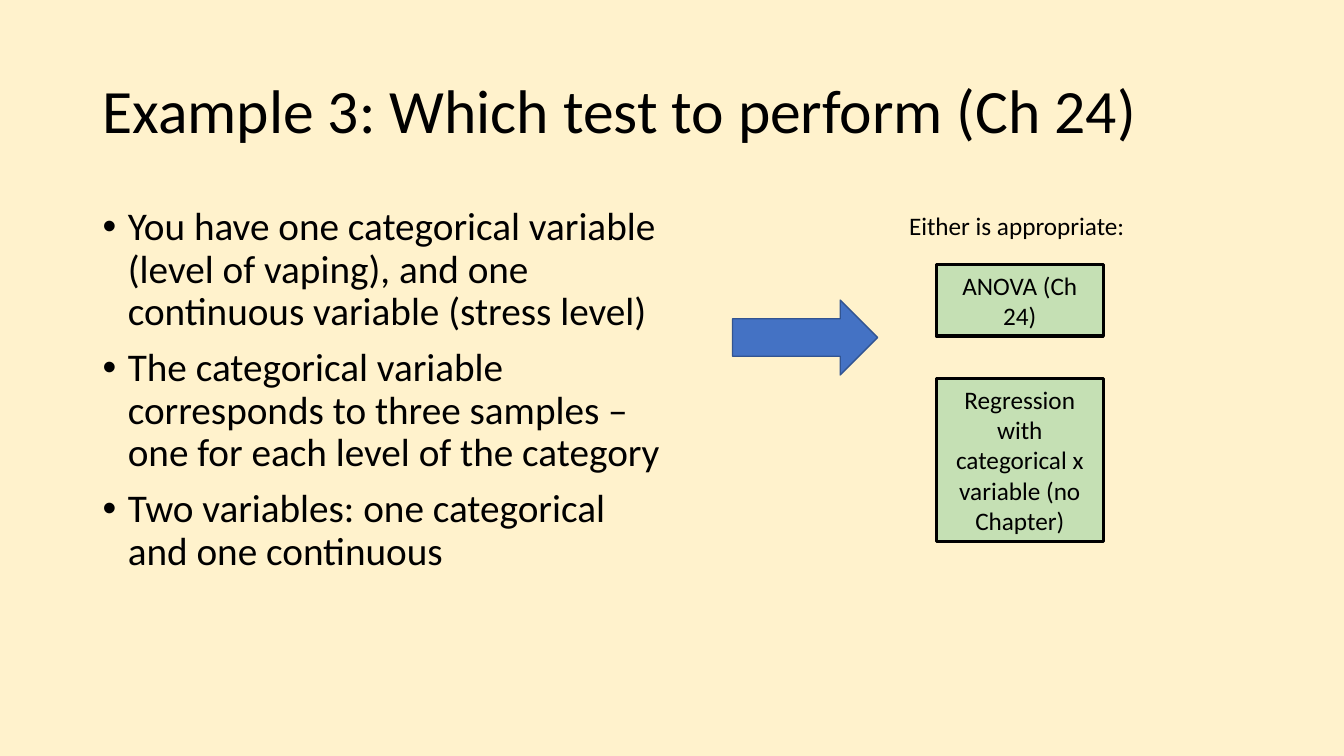
from dataclasses import dataclass

from lxml import etree
from pptx import Presentation
from pptx.dml.color import RGBColor
from pptx.enum.shapes import MSO_SHAPE
from pptx.enum.text import MSO_ANCHOR, PP_ALIGN
from pptx.oxml.ns import qn
from pptx.util import Inches, Pt

RECT, ARROW = MSO_SHAPE.RECTANGLE, MSO_SHAPE.RIGHT_ARROW
TOP, MIDDLE = MSO_ANCHOR.TOP, MSO_ANCHOR.MIDDLE
LEFT, CENTER = PP_ALIGN.LEFT, PP_ALIGN.CENTER


@dataclass(frozen=True)
class Theme:
    """Colours, font and type sizes of the slide."""
    font: str = "Calibri"
    background: str = "FFF2CC"
    ink: str = "000000"
    answer: str = "C5E0B4"
    arrow: str = "4472C4"
    arrow_edge: str = "325491"
    title: int = 44
    body: int = 28
    label: int = 18


THEME = Theme()
TIGHT = {"line_spacing": 0.9}
BULLETED = {"line_spacing": 0.9, "space_before": Pt(10)}


def within(box, x, y, w, h):
    """Return the part of a box given by its shares."""
    left, top, width, height = box
    return left + x * width, top + y * height, w * width, h * height


def write(sp, lines, size, anchor=TOP, align=LEFT, spacing=None):
    """Fill a shape with formatted paragraphs."""
    tf = sp.text_frame
    tf.word_wrap, tf.vertical_anchor = True, anchor
    for i, line in enumerate(lines):
        p = tf.add_paragraph() if i else tf.paragraphs[0]
        for name, value in {"alignment": align, **(spacing or {})}.items():
            setattr(p, name, value)
        r = p.add_run()
        r.text = line
        for name, value in {"name": THEME.font, "size": Pt(size)}.items():
            setattr(r.font, name, value)
        r.font.color.rgb = RGBColor.from_string(THEME.ink)


def add_text(slide, box, lines, size, **style):
    """Add a text box."""
    sp = slide.shapes.add_textbox(*map(Inches, box))
    write(sp, lines, size, **style)
    return sp


def add_block(slide, box, kind, fill, edge, weight):
    """Add a filled and outlined preset shape."""
    sp = slide.shapes.add_shape(kind, *map(Inches, box))
    sp.shadow.inherit = False
    sp.fill.solid()
    sp.fill.fore_color.rgb = RGBColor.from_string(fill)
    sp.line.color.rgb = RGBColor.from_string(edge)
    sp.line.width = Pt(weight)
    return sp


def add_bullets(slide, box, lines):
    """Add a bulleted list with hanging indents."""
    sp = add_text(slide, box, lines, THEME.body, spacing=BULLETED)
    for p in sp.text_frame.paragraphs:
        pPr = p._p.get_or_add_pPr()
        pPr.set("marL", str(Inches(0.25)))
        pPr.set("indent", str(Inches(-0.25)))
        etree.SubElement(pPr, qn("a:buFont")).set("typeface", "Arial")
        etree.SubElement(pPr, qn("a:buChar")).set("char", "•")


def add_answers(slide, box, heading, answers):
    """Add a heading above a column of answer boxes."""
    add_text(slide, within(box, 0, 0, 1, 0.12), [heading], THEME.label)
    for text, y, h in answers:
        sp = add_block(slide, within(box, 0.13, y, 0.587, h), RECT,
                       THEME.answer, THEME.ink, 2.25)
        write(sp, [text], THEME.label, anchor=MIDDLE, align=CENTER)


def build_example(prs):
    """Add the slide that leads from a situation to suitable tests."""
    slide = prs.slides.add_slide(prs.slide_layouts[6])
    slide.background.fill.solid()
    slide.background.fill.fore_color.rgb = RGBColor.from_string(THEME.background)
    page = (0, 0, prs.slide_width.inches, prs.slide_height.inches)
    add_text(slide, within(page, 0.069, 0.053, 0.863, 0.193),
             ["Example 3: Which test to perform (Ch 24)"], THEME.title,
             anchor=MIDDLE, spacing=TIGHT)
    add_bullets(slide, within(page, 0.069, 0.267, 0.431, 0.635), [
        "You have one categorical variable (level of vaping), and one "
        "continuous variable (stress level)",
        "The categorical variable corresponds to three samples – one for "
        "each level of the category",
        "Two variables: one categorical and one continuous"])
    add_block(slide, within(page, 0.545, 0.397, 0.108, 0.099), ARROW,
              THEME.arrow, THEME.arrow_edge, 1)
    add_answers(slide, within(page, 0.669, 0.271, 0.212, 0.445),
                "Either is appropriate:", [
                    ("ANOVA (Ch 24)", 0.177, 0.213),
                    ("Regression with categorical x variable (no Chapter)",
                     0.515, 0.485)])


def main():
    """Build and save the presentation."""
    prs = Presentation()
    prs.slide_width, prs.slide_height = Inches(13.33), Inches(7.5)
    build_example(prs)
    prs.save("out.pptx")


main()
